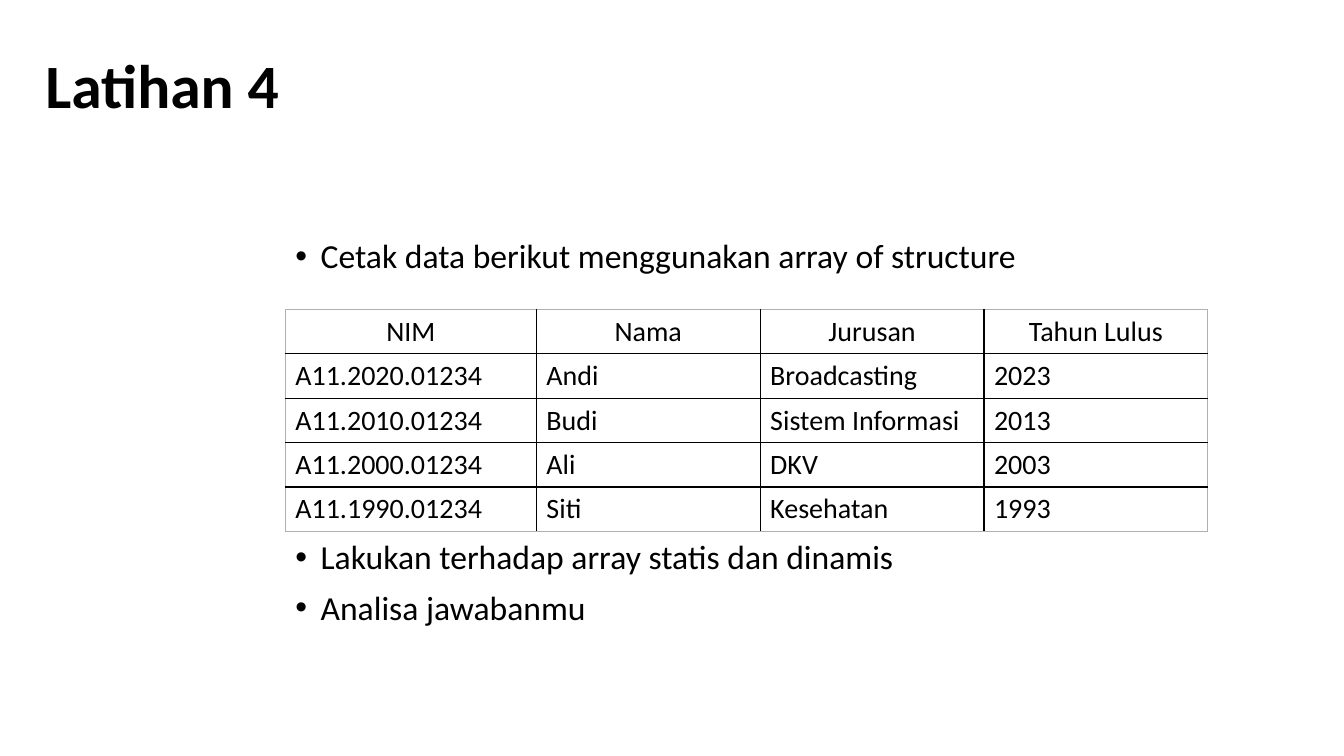
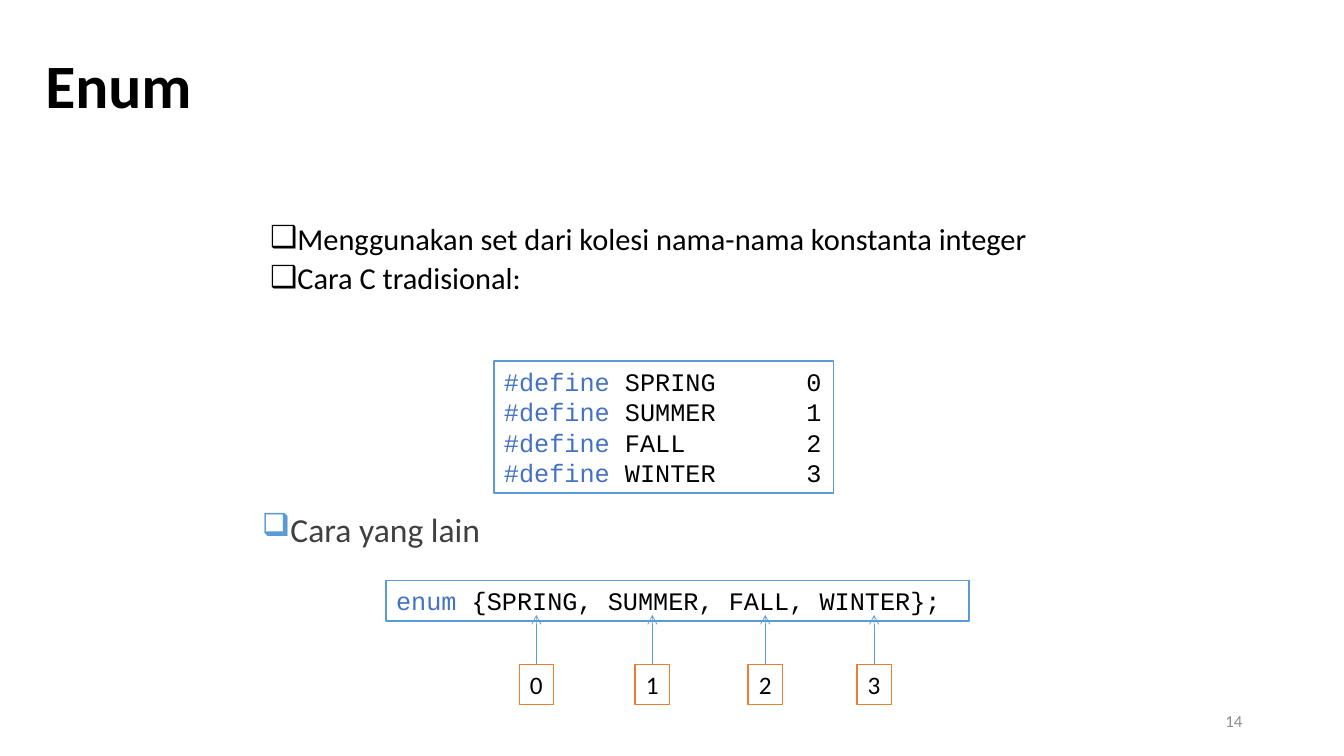
"""Build two slides on arrays of structures and enums."""
from dataclasses import dataclass

from lxml.etree import SubElement
from pptx import Presentation
from pptx.dml.color import RGBColor
from pptx.enum.shapes import MSO_CONNECTOR as CONN, MSO_SHAPE as SHAPE
from pptx.enum.text import MSO_ANCHOR as ANCHOR, MSO_AUTO_SIZE as AUTO, PP_ALIGN as ALIGN
from pptx.oxml.ns import qn
from pptx.util import Inches, Pt


@dataclass(frozen=True)
class Theme:
    font: str = "Calibri"
    mono: str = "Courier New"
    black: str = "000000"
    white: str = "FFFFFF"
    gray: str = "404040"
    muted: str = "8C8C8C"
    frame: str = "B0B0B0"
    blue: str = "5B9BD5"
    keyword: str = "4472C4"
    orange: str = "ED7D31"
    title: float = 44
    body: float = 24
    compact: float = 21.7
    cell: float = 20
    code: float = 18
    footer: float = 12


T = Theme()
TITLE_BOX = (0.35, 0.15, 10.98, 1.45)
TASKS = ["Cetak data berikut menggunakan array of structure",
         "Lakukan terhadap array statis dan dinamis",
         "Analisa jawabanmu"]
STUDENTS = [
    ("NIM", "Nama", "Jurusan", "Tahun Lulus"),
    ("A11.2020.01234", "Andi", "Broadcasting", "2023"),
    ("A11.2010.01234", "Budi", "Sistem Informasi", "2013"),
    ("A11.2000.01234", "Ali", "DKV", "2003"),
    ("A11.1990.01234", "Siti", "Kesehatan", "1993"),
]
COL_WIDTHS = (2.49, 2.22, 2.22, 2.22)
ROW_HEIGHT = 0.44
TABLE_GAP = 189
ENUM_POINTS = ["Menggunakan set dari kolesi nama-nama konstanta integer",
               "Cara C tradisional:"]
SEASONS = ["SPRING", "SUMMER", "FALL", "WINTER"]
SEASON_CENTERS = (5.32, 6.47, 7.59, 8.67)
VALUE_TOP, VALUE_W, VALUE_H, ARROW_TIP = 6.59, 0.34, 0.4, 6.1


def rgb(color):
    return RGBColor.from_string(color)


def box(left, top, width, height):
    return [Inches(v) for v in (left, top, width, height)]


def style(p, size, color=T.black, font=T.font, bold=False):
    for r in p.runs:
        r.font.size, r.font.name, r.font.bold = Pt(size), font, bold
        r.font.color.rgb = rgb(color)


def bullet(p, char, color=None, scale=None):
    pPr = p._p.get_or_add_pPr()
    pPr.set("marL", str(Inches(0.25)))
    pPr.set("indent", str(-Inches(0.25)))
    if color:
        SubElement(SubElement(pPr, qn("a:buClr")), qn("a:srgbClr"), val=color)
    if scale:
        SubElement(pPr, qn("a:buSzPct"), val=str(scale * 1000))
    SubElement(pPr, qn("a:buChar"), char=char)


def add_slide(prs, title, points, area, size, char, spacing):
    s = prs.slides.add_slide(prs.slide_layouts[1])
    head, body = s.shapes.title, s.placeholders[1]
    for sp, place in ((head, TITLE_BOX), (body, area)):
        sp.left, sp.top, sp.width, sp.height = box(*place)
        sp.text_frame.auto_size = AUTO.NONE
    head.text_frame.text = title
    head.text_frame.vertical_anchor = ANCHOR.MIDDLE
    p = head.text_frame.paragraphs[0]
    p.alignment, p.line_spacing = ALIGN.LEFT, 0.9
    style(p, T.title, bold=True)
    body.text_frame.text = "\n".join(points)
    for p in body.text_frame.paragraphs:
        p.line_spacing, p.space_before = spacing, Pt(10)
        bullet(p, char)
        style(p, size)
    return s


def add_text(s, text, area, size, color):
    tf = s.shapes.add_textbox(*box(*area)).text_frame
    tf.word_wrap = True
    tf.text = text
    p = tf.paragraphs[0]
    style(p, size, color)
    return tf, p


def add_rect(s, area, line, fill=None):
    sp = s.shapes.add_shape(SHAPE.RECTANGLE, *box(*area))
    sp.shadow.inherit = False
    if fill:
        sp.fill.solid()
        sp.fill.fore_color.rgb = rgb(fill)
    else:
        sp.fill.background()
    sp.line.color.rgb, sp.line.width = rgb(line), Pt(1)
    return sp


def add_code(s, area, lines, tab=None):
    tf = add_rect(s, area, T.blue).text_frame
    tf.word_wrap, tf.margin_right = True, 0
    tf.text = "\n".join("" for _ in lines)
    for p, (keyword, rest) in zip(tf.paragraphs, lines):
        p.alignment, p.line_spacing = ALIGN.LEFT, Pt(21.8)
        if tab:
            tabs = SubElement(p._p.get_or_add_pPr(), qn("a:tabLst"))
            SubElement(tabs, qn("a:tab"), pos=str(Inches(tab)), algn="l")
        for text in (keyword, " " + rest):
            p.add_run().text = text
        style(p, T.code, font=T.mono)
        p.runs[0].font.color.rgb = rgb(T.keyword)


def add_value(s, value, center):
    sp = add_rect(s, (center - VALUE_W / 2, VALUE_TOP, VALUE_W, VALUE_H), T.orange, T.white)
    tf = sp.text_frame
    tf.word_wrap = False
    tf.text = str(value)
    tf.paragraphs[0].alignment = ALIGN.CENTER
    style(tf.paragraphs[0], T.code)
    arrow = s.shapes.add_connector(CONN.STRAIGHT, *box(center, VALUE_TOP, center, ARROW_TIP))
    arrow.line.color.rgb, arrow.line.width = rgb(T.blue), Pt(0.5)
    SubElement(arrow.line._get_or_add_ln(), qn("a:tailEnd"), type="arrow")
    SubElement(arrow._element.spPr, qn("a:effectLst"))


def set_borders(cell, outer):
    tcPr = cell._tc.get_or_add_tcPr()
    for i, (side, edge) in enumerate(zip("LRTB", outer)):
        ln = SubElement(tcPr, qn(f"a:ln{side}"), w=str(Pt(0.5 if edge else 1)))
        fill = SubElement(ln, qn("a:solidFill"))
        SubElement(fill, qn("a:srgbClr"), val=T.frame if edge else T.black)
        tcPr.insert(i, ln)


def add_students(s, left, top):
    rows, cols = len(STUDENTS), len(COL_WIDTHS)
    area = box(left, top, sum(COL_WIDTHS), ROW_HEIGHT * rows)
    table = s.shapes.add_table(rows, cols, *area).table
    table.first_row = table.horz_banding = False
    for col, width in zip(table.columns, COL_WIDTHS):
        col.width = Inches(width)
    for y, record in enumerate(STUDENTS):
        table.rows[y].height = Inches(ROW_HEIGHT)
        for x, text in enumerate(record):
            cell = table.cell(y, x)
            cell.text = text
            cell.fill.background()
            set_borders(cell, (x == 0, x == cols - 1, y == 0, y == rows - 1))
            p = cell.text_frame.paragraphs[0]
            p.alignment = ALIGN.LEFT if y else ALIGN.CENTER
            style(p, T.cell)


def build_exercise(prs):
    s = add_slide(prs, "Latihan 4", TASKS, (2.83, 2.33, 9.75, 4.46), T.body, "•", 0.9)
    s.placeholders[1].text_frame.paragraphs[1].space_before = Pt(TABLE_GAP)
    add_students(s, 2.83, 3.07)


def build_enum(prs):
    s = add_slide(prs, "Enum", ENUM_POINTS, (2.58, 2.23, 8.17, 1.02), T.compact, "❑", 0.7)
    _, p = add_text(s, "Cara yang lain", (2.5, 5, 8.17, 0.58), T.body, T.gray)
    bullet(p, "❑", T.blue, 95)
    defines = [("#define", f"{name}\t{i}") for i, name in enumerate(SEASONS)]
    add_code(s, (4.9, 3.58, 3.37, 1.31), defines, tab=3)
    add_code(s, (3.83, 5.76, 5.78, 0.4), [("enum", "{" + ", ".join(SEASONS) + "};")])
    for value, center in enumerate(SEASON_CENTERS):
        add_value(s, value, center)
    tf, p = add_text(s, "14", (9.42, 6.95, 3, 0.4), T.footer, T.muted)
    tf.vertical_anchor, p.alignment = ANCHOR.MIDDLE, ALIGN.RIGHT


def main():
    prs = Presentation()
    prs.slide_width, prs.slide_height = Inches(13.33), Inches(7.5)
    build_exercise(prs)
    build_enum(prs)
    prs.save("out.pptx")


if __name__ == "__main__":
    main()
